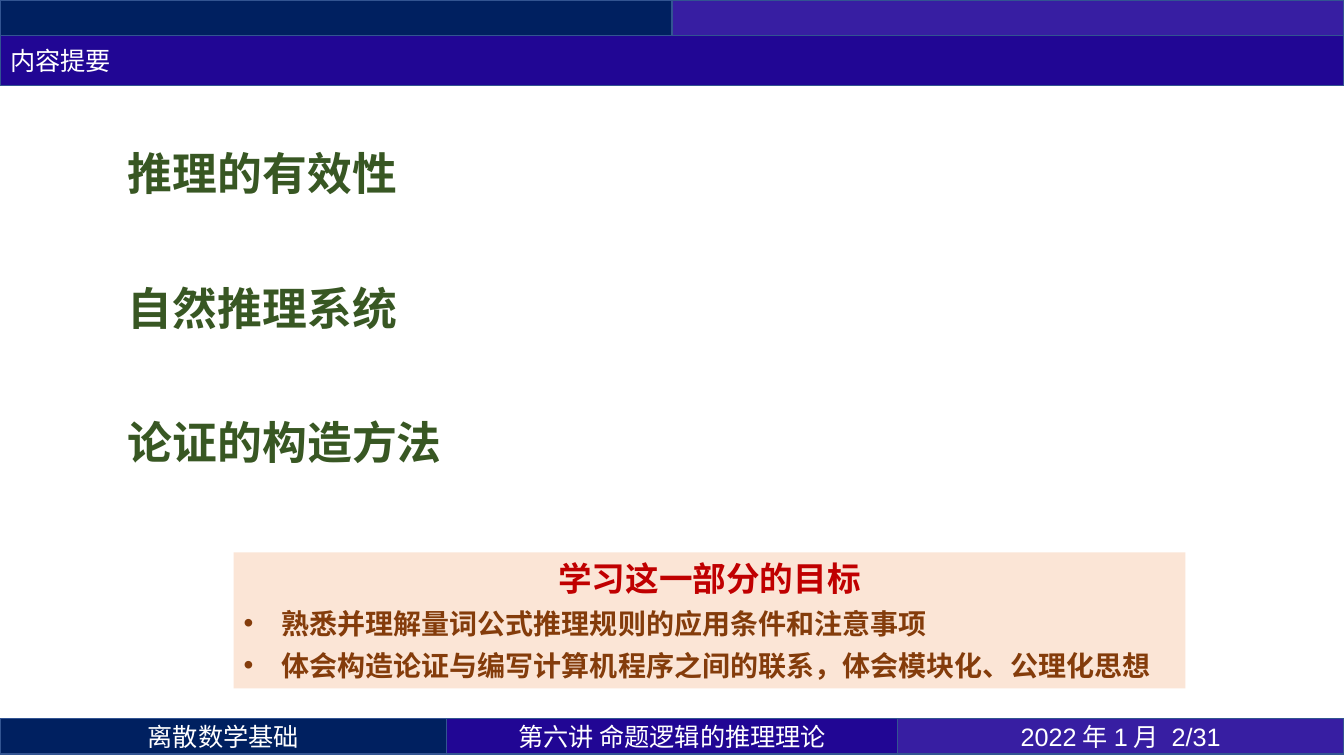
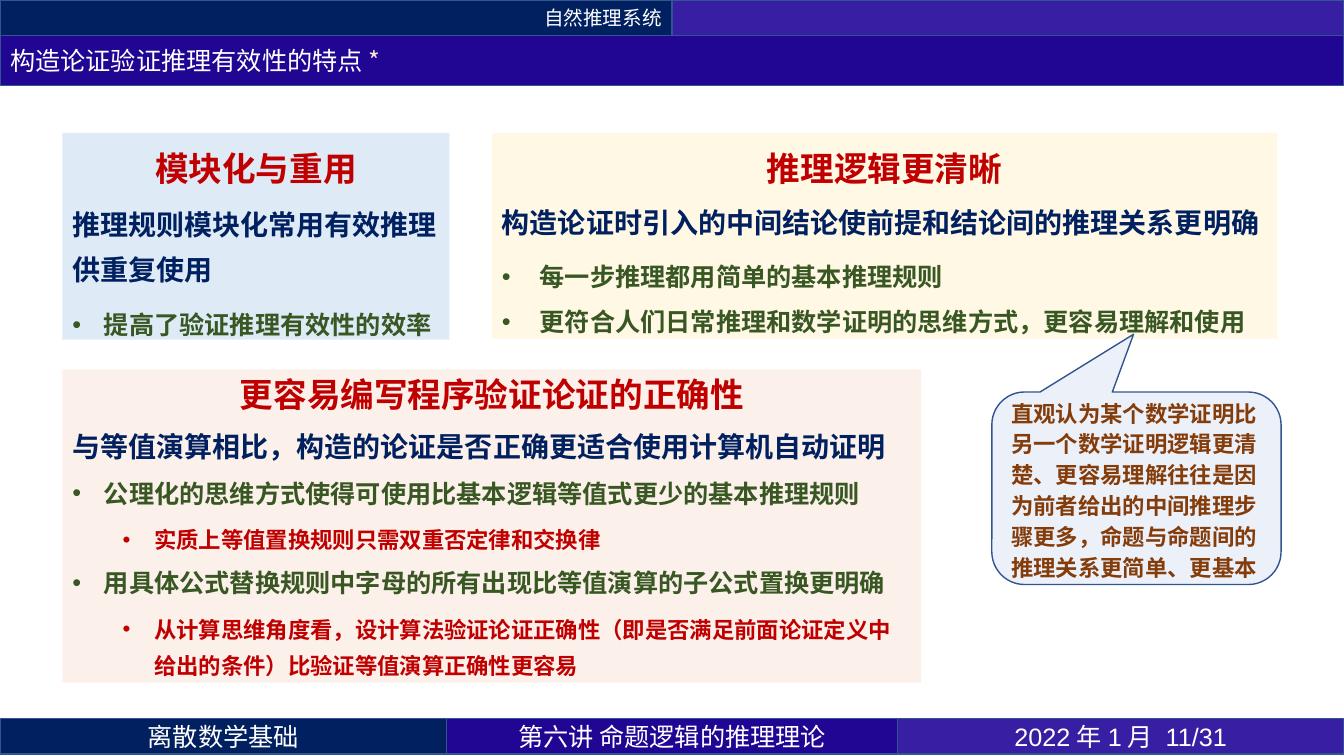
from dataclasses import dataclass
from typing import Optional

from lxml.etree import SubElement
from pptx import Presentation
from pptx.dml.color import RGBColor
from pptx.enum.shapes import MSO_SHAPE
from pptx.enum.text import MSO_ANCHOR, MSO_AUTO_SIZE, PP_ALIGN
from pptx.oxml.ns import qn
from pptx.util import Pt

COLORS = {
    "navy": "002060", "indigo": "210694", "violet": "371EA2",
    "outline": "325491", "white": "FFFFFF", "red": "C00000",
    "green": "385723", "brown": "843C0B", "peach": "FBE5D6",
    "sky": "DEEBF7", "cream": "FFF2CC", "mist": "DAE3F3",
}
CJK, LATIN = "Noto Sans CJK SC", "Arial"
WIDTH, HEIGHT = 960, 540
BAND, TITLE_BAND, FOOTER_TOP = 25.2, 36, 513.4
FOOTER_SIDE = 319
TITLE_ONLY, TITLE_AND_CONTENT = 5, 1


@dataclass
class Style:
    size: int
    color: str
    bold: bool = True
    align: PP_ALIGN = PP_ALIGN.LEFT
    level: int = 0
    bulleted: bool = False
    latin: str = CJK


STYLES = {
    "band": Style(18, "white", bold=False, align=PP_ALIGN.CENTER),
    "date": Style(18, "white", bold=False, align=PP_ALIGN.CENTER, latin=LATIN),
    "section": Style(14, "white", bold=False, align=PP_ALIGN.RIGHT),
    "title": Style(18, "white", bold=False),
    "star": Style(18, "peach", bold=False),
    "topic": Style(32, "green"),
    "heading": Style(24, "red", align=PP_ALIGN.CENTER),
    "claim": Style(20, "navy"),
    "goal": Style(20, "brown", bulleted=True),
    "point": Style(18, "green", bulleted=True),
    "detail": Style(16, "red", level=1, bulleted=True),
    "remark": Style(16, "brown"),
}


@dataclass
class Line:
    """One paragraph: style name, words, line spacing, hanging indent in points."""
    style: str
    words: str
    spacing: Optional[float] = None
    hang: float = 22.5


def rgb(color):
    return RGBColor.from_string(COLORS[color])


class Deck:
    def __init__(self):
        self.presentation = Presentation()
        self.presentation.slide_width = Pt(WIDTH)
        self.presentation.slide_height = Pt(HEIGHT)
        self.slide = None

    def start(self, layout, title, page, section="", star=""):
        """Add a slide with its header bands, title and footer."""
        self.slide = self.presentation.slides.add_slide(
            self.presentation.slide_layouts[layout])
        half = WIDTH / 2
        self.band(0, 0, half, "navy", section, "section")
        self.band(half, 0, half, "violet")
        middle = WIDTH - 2 * FOOTER_SIDE
        self.band(0, FOOTER_TOP, FOOTER_SIDE, "navy", "离散数学基础")
        self.band(FOOTER_SIDE, FOOTER_TOP, middle, "indigo",
                  "第六讲 命题逻辑的推理理论")
        self.band(FOOTER_SIDE + middle, FOOTER_TOP, FOOTER_SIDE, "violet",
                  f"2022年1月 \t{page}/31", "date")
        self.title(title, star)

    def place(self, holder, left, top, width, height):
        holder.left, holder.top = Pt(left), Pt(top)
        holder.width, holder.height = Pt(width), Pt(height)

    def paint(self, shape, fill, outlined=False, opacity=100):
        shape.fill.solid()
        shape.fill.fore_color.rgb = rgb(fill)
        if opacity < 100:
            color = shape._element.spPr.find(qn("a:solidFill"))[0]
            SubElement(color, qn("a:alpha"), val=str(opacity * 1000))
        if outlined:
            shape.line.color.rgb = rgb("outline")
            shape.line.width = Pt(1)
        else:
            shape.line.fill.background()

    def panel(self, area, fill, outlined=False, opacity=100,
              outline=MSO_SHAPE.RECTANGLE):
        shape = self.slide.shapes.add_shape(outline, *map(Pt, area))
        shape.shadow.inherit = False
        self.paint(shape, fill, outlined, opacity)
        return shape

    def band(self, left, top, width, fill, words="", style="band"):
        band = self.panel((left, top, width, BAND), fill, outlined=True)
        if words:
            self.add_lines(band, [Line(style, words)], MSO_ANCHOR.MIDDLE)

    def title(self, words, star):
        title = self.slide.shapes.title
        self.place(title, 0, BAND, WIDTH, TITLE_BAND)
        self.paint(title, "indigo", outlined=True)
        self.add_lines(title, [Line("title", words)], MSO_ANCHOR.MIDDLE)
        if star:
            self.run(title.text_frame.paragraphs[0], star, STYLES["star"])

    def topics(self, area, topics):
        body = self.slide.placeholders[1]
        self.place(body, *area)
        self.add_lines(body, [Line("topic", topic, 2.5) for topic in topics], before=0)

    def box(self, area, fill, lines, opacity=100):
        self.add_lines(self.panel(area, fill, opacity=opacity), lines)

    def callout(self, area, words, adjustments):
        bubble = self.panel(area, "mist", True, 50,
                            MSO_SHAPE.ROUNDED_RECTANGULAR_CALLOUT)
        for index, value in enumerate(adjustments):
            bubble.adjustments[index] = value
        self.add_lines(bubble, [Line("remark", words, Pt(22))], MSO_ANCHOR.MIDDLE)

    def add_lines(self, holder, lines, anchor=MSO_ANCHOR.TOP, before=6):
        frame = holder.text_frame
        frame.word_wrap = True
        frame.auto_size = MSO_AUTO_SIZE.NONE
        frame.vertical_anchor = anchor
        for index, line in enumerate(lines):
            paragraph = frame.paragraphs[0] if index == 0 else frame.add_paragraph()
            style = STYLES[line.style]
            self.indent(paragraph, style, line.hang)
            paragraph.alignment = style.align
            paragraph.level = style.level
            paragraph.space_before = Pt(before if index else 0)
            if line.spacing:
                paragraph.line_spacing = line.spacing
            self.run(paragraph, line.words, style)

    def indent(self, paragraph, style, hang):
        properties = paragraph._p.get_or_add_pPr()
        hang = hang if style.bulleted else 0
        properties.set("marL", str(Pt(hang + 36 * style.level)))
        properties.set("indent", str(-Pt(hang)))
        if style.bulleted:
            SubElement(properties, qn("a:buFont"), typeface=LATIN)
            SubElement(properties, qn("a:buChar"), char="•")
        else:
            SubElement(properties, qn("a:buNone"))

    def run(self, paragraph, words, style):
        run = paragraph.add_run()
        run.text = words
        run.font.size = Pt(style.size)
        run.font.bold = style.bold
        run.font.color.rgb = rgb(style.color)
        run.font.name = style.latin
        SubElement(run._r.rPr, qn("a:ea"), typeface=CJK)


def outline_slide(deck):
    deck.start(TITLE_AND_CONTENT, "内容提要", 2)
    deck.topics((84.2, 43.2, 373, 279.4),
                ["推理的有效性", "自然推理系统", "论证的构造方法"])
    deck.box((167, 394.6, 679.7, 97.2), "peach", [
        Line("heading", "学习这一部分的目标"),
        Line("goal", "熟悉并理解量词公式推理规则的应用条件和注意事项", hang=27),
        Line("goal", "体会构造论证与编写计算机程序之间的联系，体会模块化、公理化思想",
             hang=27),
    ])


def features_slide(deck):
    deck.start(TITLE_ONLY, "构造论证验证推理有效性的特点", 11, "自然推理系统", "*")
    left, top = 44.6, 95
    deck.box((left, top, 276.5, 147.6), "sky", [
        Line("heading", "模块化与重用", Pt(36)),
        Line("claim", "推理规则模块化常用有效推理供重复使用", Pt(32)),
        Line("point", "提高了验证推理有效性的效率", Pt(32)),
    ])
    deck.box((351.4, top, 560.9, 146.9), "cream", [
        Line("heading", "推理逻辑更清晰", Pt(36)),
        Line("claim", "构造论证时引入的中间结论使前提和结论间的推理关系更明确", Pt(30)),
        Line("point", "每一步推理都用简单的基本推理规则", Pt(32), 27),
        Line("point", "更符合人们日常推理和数学证明的思维方式，更容易理解和使用",
             Pt(26), 27),
    ], opacity=50)
    deck.box((left, 263.8, 613.4, 223.9), "peach", [
        Line("heading", "更容易编写程序验证论证的正确性", Pt(28.8)),
        Line("claim", "与等值演算相比，构造的论证是否正确更适合使用计算机自动证明",
             Pt(28.8)),
        Line("point", "公理化的思维方式使得可使用比基本逻辑等值式更少的基本推理规则",
             Pt(26)),
        Line("detail", "实质上等值置换规则只需双重否定律和交换律", Pt(26)),
        Line("point", "用具体公式替换规则中字母的所有出现比等值演算的子公式置换更明确",
             Pt(26)),
        Line("detail", "从计算思维角度看，设计算法验证论证正确性（即是否满足前面论证定义中"
             "给出的条件）比验证等值演算正确性更容易", Pt(26)),
    ], opacity=50)
    deck.callout((708.5, 280, 206.6, 137.5),
                 "直观认为某个数学证明比另一个数学证明逻辑更清楚、更容易理解往往是因为"
                 "前者给出的中间推理步骤更多，命题与命题间的推理关系更简单、更基本",
                 (-0.01, -0.8, 0.17))


def main():
    deck = Deck()
    outline_slide(deck)
    features_slide(deck)
    deck.presentation.save("out.pptx")


if __name__ == "__main__":
    main()
